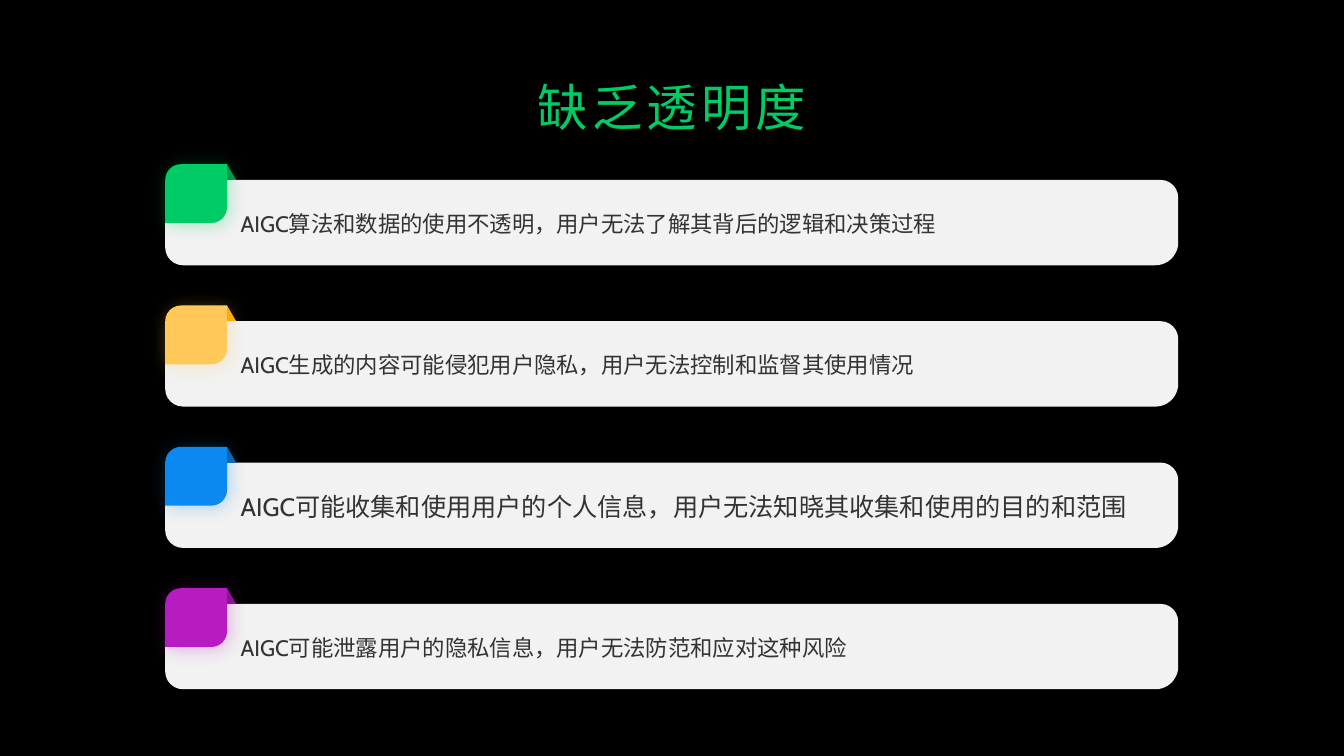
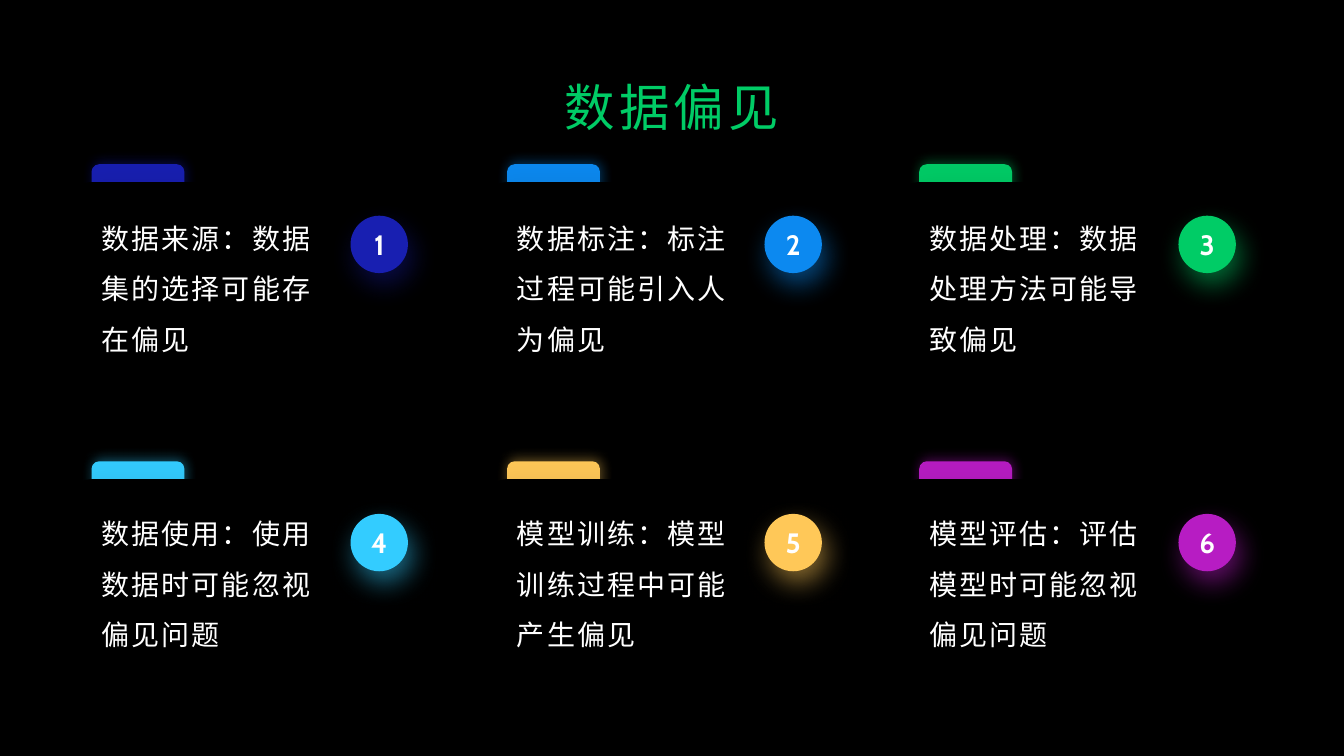
from lxml import etree
from pptx import Presentation
from pptx.dml.color import RGBColor
from pptx.enum.shapes import MSO_SHAPE
from pptx.enum.text import MSO_ANCHOR, PP_ALIGN
from pptx.oxml.ns import qn
from pptx.util import Pt

DIAG = MSO_SHAPE.ROUND_2_DIAG_RECTANGLE
ROUND = MSO_SHAPE.ROUNDED_RECTANGLE
OVAL = MSO_SHAPE.OVAL
FOLD = MSO_SHAPE.RIGHT_TRIANGLE
MIDDLE = MSO_ANCHOR.MIDDLE
TOP = MSO_ANCHOR.TOP
CENTER = PP_ALIGN.CENTER
LEFT = PP_ALIGN.LEFT

# Colours
BLACK = RGBColor(0x00, 0x00, 0x00)
WHITE = RGBColor(0xFF, 0xFF, 0xFF)
GREY = RGBColor(0xF2, 0xF2, 0xF2)
INK = RGBColor(0x33, 0x33, 0x33)
NAVY = RGBColor(0x18, 0x1F, 0xB1)
NIGHT = RGBColor(0x12, 0x17, 0x85)
BLUE = RGBColor(0x0C, 0x89, 0xF0)
GREEN = RGBColor(0x00, 0xCC, 0x66)
CYAN = RGBColor(0x33, 0xCC, 0xFF)
AMBER = RGBColor(0xFF, 0xC8, 0x58)
PURPLE = RGBColor(0xB7, 0x1C, 0xC3)
DARK_GREEN = RGBColor(0x00, 0x99, 0x4D)
DARK_AMBER = RGBColor(0xFF, 0xAC, 0x02)
DARK_BLUE = RGBColor(0x09, 0x67, 0xB4)
DARK_PURPLE = RGBColor(0x89, 0x15, 0x92)

# Content: text, size, chip colour, fold colour
RISKS = [
    ("AIGC算法和数据的使用不透明，用户无法了解其背后的逻辑和决策过程", 16, GREEN, DARK_GREEN),
    ("AIGC生成的内容可能侵犯用户隐私，用户无法控制和监督其使用情况", 16, AMBER, DARK_AMBER),
    ("AIGC可能收集和使用用户的个人信息，用户无法知晓其收集和使用的目的和范围", 18, BLUE, DARK_BLUE),
    ("AIGC可能泄露用户的隐私信息，用户无法防范和应对这种风险", 16, PURPLE, DARK_PURPLE),
]
# Content: text, colour, shadow colour of the number
BIASES = [
    ("数据来源：数据集的选择可能存在偏见", NAVY, NIGHT),
    ("数据标注：标注过程可能引入人为偏见", BLUE, BLUE),
    ("数据处理：数据处理方法可能导致偏见", GREEN, GREEN),
    ("数据使用：使用数据时可能忽视偏见问题", CYAN, CYAN),
    ("模型训练：模型训练过程中可能产生偏见", AMBER, AMBER),
    ("模型评估：评估模型时可能忽视偏见问题", PURPLE, PURPLE),
]

# Shadows: opacity %, blur, distance, angle
CARD_SHADE = (23, 20, 3, 107)
CHIP_SHADE = (31, 13, 2, 45)
TAB_SHADE = (40, 9, 2, 300)
PANEL_SHADE = (10, 25, 3, 45)
BALL_SHADE = (52, 20, 9, 67)

# Layout
HEAD = 117.3
RISK_LEFT, RISK_STEP = 118, 100.95
TAB_LEFTS = (65.4, 362.2, 656.6)
COLS = len(TAB_LEFTS)


def place(shape, box):
    shape.left, shape.top, shape.width, shape.height = map(Pt, box)


def write(shape, text, font, size, color, bold=False, align=LEFT,
          anchor=MIDDLE, space=0, line=None):
    frame = shape.text_frame
    frame.word_wrap = True
    frame.vertical_anchor = anchor
    frame.text = text
    para = frame.paragraphs[0]
    para.alignment = align
    if line:
        para.line_spacing = line
    run = para.runs[0]
    run.font.name = font
    run.font.size = Pt(size)
    run.font.bold = bold
    run.font.color.rgb = color
    props = run._r.get_or_add_rPr()
    props.set("lang", "zh-CN")
    if space:
        props.set("spc", str(int(space * 100)))


def cast(shape, color, shade):
    alpha, blur, dist, angle = shade
    effects = shape._element.spPr.find(qn("a:effectLst"))
    outer = etree.SubElement(
        effects, qn("a:outerShdw"), blurRad=str(Pt(blur)), dist=str(Pt(dist)),
        dir=str(angle * 60000), algn="ctr", rotWithShape="0")
    tint = etree.SubElement(outer, qn("a:srgbClr"), val=str(color))
    etree.SubElement(tint, qn("a:alpha"), val=str(alpha * 1000))


def draw(slide, kind, box, color, adjust=(), shade=None, glow=None):
    shape = slide.shapes.add_shape(kind, *map(Pt, box))
    for i, value in enumerate(adjust):
        shape.adjustments[i] = value
    shape.fill.solid()
    shape.fill.fore_color.rgb = color
    shape.line.fill.background()
    shape.shadow.inherit = False
    if shade:
        cast(shape, glow or color, shade)
    return shape


def label(slide, box):
    return slide.shapes.add_textbox(*map(Pt, box))


def start(deck, title):
    slide = deck.slides.add_slide(deck.slide_layouts[5])
    write(slide.shapes.title, title, "Karla", 36, GREEN, align=CENTER, space=3)
    return slide


def add_risks(deck):
    slide = start(deck, "缺乏透明度")
    for i, (text, size, color, dark) in enumerate(RISKS):
        top = HEAD + i * RISK_STEP
        draw(slide, DIAG, (RISK_LEFT, top + 11.2, 723.6, 61), GREY,
             (0.267, 0.208), CARD_SHADE, BLACK)
        draw(slide, DIAG, (RISK_LEFT, top, 44.2, 42), color,
             (0.267, 0), CHIP_SHADE)
        draw(slide, FOLD, (RISK_LEFT + 44.2, top, 6.5, 11.2), dark)
        note = label(slide, (RISK_LEFT + 46.8, top + 11.9, 653.8, 59.8))
        frame = note.text_frame
        frame.margin_top, frame.margin_bottom = Pt(0), Pt(8.64)
        write(note, text, "Cabin", size, INK, line=1.5)


def add_biases(deck):
    slide = start(deck, "数据偏见")
    for i, (text, color, glow) in enumerate(BIASES):
        row, col = divmod(i, COLS)
        left, top = TAB_LEFTS[col], HEAD + row * 212.2
        # Tab, its lower part hidden by the black panel
        draw(slide, ROUND, (left, top, 66.4, 67), color, (0.083,), TAB_SHADE)
        draw(slide, ROUND, (left - 13.6, top + 12.8, 265, 149.8), BLACK,
             (0.083,), PANEL_SHADE)
        # Number
        ball = draw(slide, OVAL, (250.4 + col * 295.7, 154.1 + row * 213, 41, 41),
                    color, shade=BALL_SHADE, glow=glow)
        write(ball, str(i + 1), "Cabin", 20, WHITE, bold=True, align=CENTER)
        # Text
        note = label(slide, (left, 142.6 + row * 211, 185, 116))
        write(note, text, "Arial", 20, WHITE, anchor=TOP, space=1.5, line=1.5)


def main():
    deck = Presentation()
    deck.slide_width, deck.slide_height = Pt(960), Pt(540)

    # Shared background and title place
    fill = deck.slide_master.background.fill
    fill.solid()
    fill.fore_color.rgb = BLACK
    place(deck.slide_layouts[5].placeholders[0], (48, 48, 864, 55.4))

    add_risks(deck)
    add_biases(deck)
    deck.save("out.pptx")


if __name__ == "__main__":
    main()
